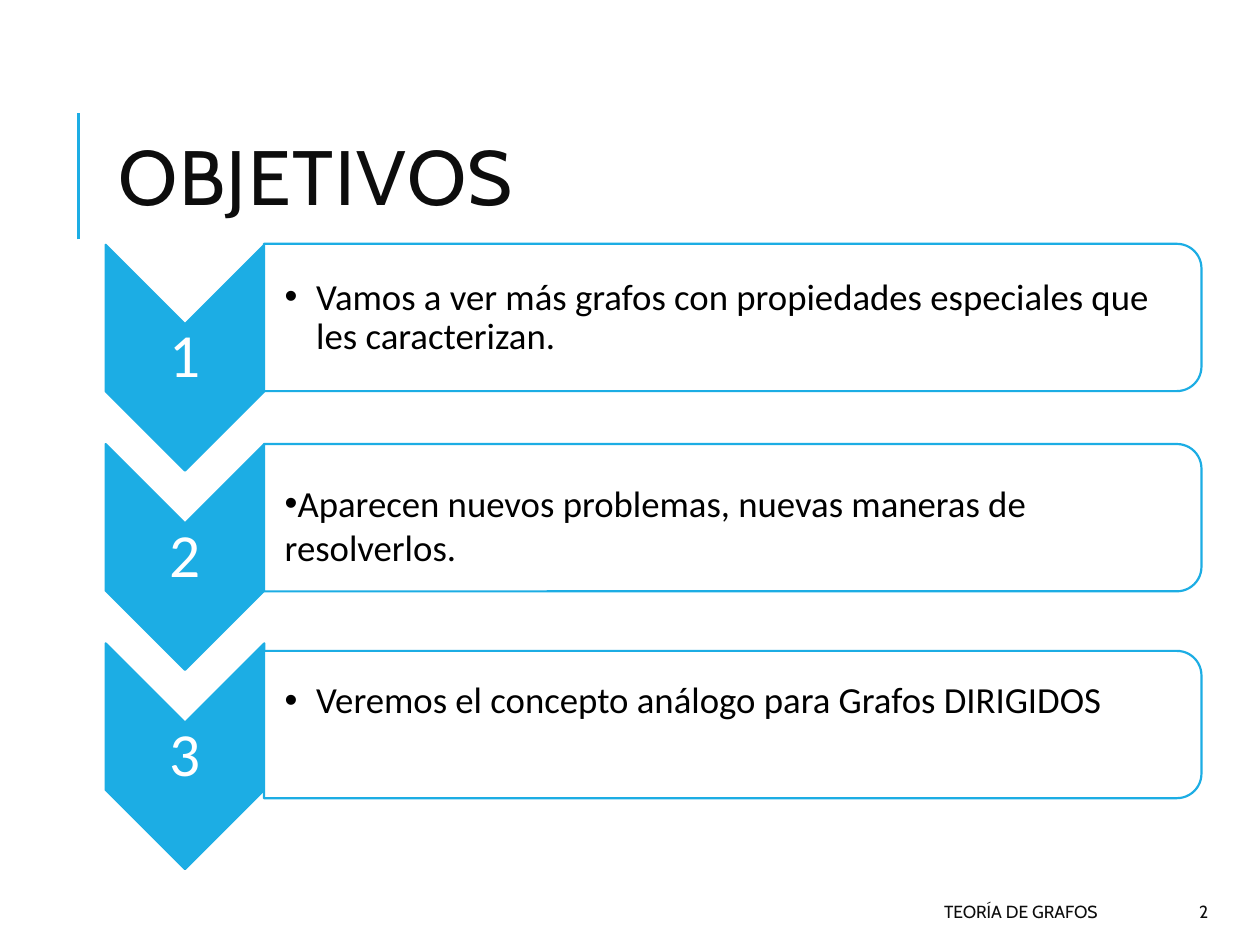
from lxml.etree import SubElement
from pptx import Presentation
from pptx.dml.color import RGBColor
from pptx.enum.shapes import MSO_CONNECTOR as Connector, MSO_SHAPE as Shape
from pptx.enum.text import MSO_ANCHOR as Anchor, MSO_AUTO_SIZE as AutoSize, PP_ALIGN as Align
from pptx.oxml.ns import qn
from pptx.util import Pt

BLUE = RGBColor(0x1C, 0xAD, 0xE4)
WHITE = RGBColor(0xFF, 0xFF, 0xFF)
BLACK = RGBColor(0x00, 0x00, 0x00)
INK = RGBColor(0x0D, 0x0D, 0x0D)


def write(frame, text, size=21, font="Calibri", color=BLACK, align=Align.LEFT,
          spacing=1.0, insets=(7.2, 3.6, 7.2, 3.6), tracking=0, bullet=False, indent=0):
    """Fill a text frame with one formatted paragraph."""
    frame.word_wrap = True
    frame.auto_size = AutoSize.NONE
    frame.vertical_anchor = Anchor.MIDDLE
    frame.margin_left, frame.margin_top, frame.margin_right, frame.margin_bottom = map(Pt, insets)
    paragraph = frame.paragraphs[0]
    paragraph.alignment = align
    paragraph.line_spacing = spacing
    run = paragraph.add_run()
    run.text = text
    run.font.size = Pt(size)
    run.font.name = font
    run.font.color.rgb = color
    if tracking:
        run._r.get_or_add_rPr().set("spc", str(tracking * 100))
    if bullet:
        properties = paragraph._p.get_or_add_pPr()
        properties.set("marL", str(Pt(indent)))
        properties.set("indent", str(-Pt(indent)))
        SubElement(properties, qn("a:buFont")).set("typeface", "Arial")
        SubElement(properties, qn("a:buChar")).set("char", "•")


class Deck:
    """Hold the style and the current slide."""

    def __init__(self, width, height):
        self.presentation = Presentation()
        self.presentation.slide_width = Pt(width)
        self.presentation.slide_height = Pt(height)
        self.slide = self.presentation.slides.add_slide(self.presentation.slide_layouts[5])
        self.shapes = self.slide.shapes

    def title(self, text, box, **style):
        """Place and fill the title placeholder."""
        title = self.shapes.title
        title.left, title.top, title.width, title.height = map(Pt, box)
        write(title.text_frame, text, **style)

    def text(self, text, box, **style):
        """Add a text box."""
        write(self.shapes.add_textbox(*map(Pt, box)).text_frame, text, **style)

    def turned(self, kind, box, fill):
        """Add a preset shape turned a quarter clockwise."""
        shape = self.shapes.add_shape(kind, *map(Pt, box))
        shape.rotation = 90
        shape.shadow.inherit = False
        shape.fill.solid()
        shape.fill.fore_color.rgb = fill
        shape.line.color.rgb = BLUE
        shape.line.width = Pt(1.25)

    def line(self, start, end, width):
        """Add a straight line."""
        line = self.shapes.add_connector(Connector.STRAIGHT, *map(Pt, start + end))
        line.line.color.rgb = BLUE
        line.line.width = Pt(width)
        SubElement(line._element.spPr, qn("a:effectLst"))


def main():
    """Build the objectives slide."""
    deck = Deck(720, 540)
    deck.line((44.8, 136.8), (44.8, 64.8), 1.5)
    deck.title("OBJETIVOS", (60.5, 46, 574, 118), size=44, font="Cabin", color=INK,
               spacing=0.8, tracking=1)

    goals = [
        ("Vamos a ver más grafos con propiedades especiales que les caracterizan.",
         -86.4, 144, 0.9, 18),
        ("Aparecen nuevos problemas, nuevas maneras de resolverlos.", 28, 262, 1.0, 0),
        ("Veremos el concepto análogo para Grafos DIRIGIDOS", 146.2, 363.2, 0.9, 18),
    ]
    for index, (goal, panel_top, text_top, spacing, indent) in enumerate(goals):
        offset = index * 113.9
        deck.turned(Shape.CHEVRON, (41.2, 159 + offset, 129, 90.7), BLUE)
        deck.text(str(index + 1), (60.5, 185 + offset, 90.7, 39), size=35, color=WHITE,
                  align=Align.CENTER, spacing=0.9, insets=(1.6,) * 4)
        deck.turned(Shape.ROUND_2_SAME_RECTANGLE, (376.6, panel_top, 84.2, 535.7), WHITE)
        deck.text(goal, (151.2, text_top, 531.4, 75.6), spacing=spacing, bullet=True,
                  indent=indent, insets=(11.5, 0.9, 0.9, 0.9))

    for text, left, width in (("TEORÍA DE GRAFOS", 285.8, 348.5), ("2", 640, 57.6)):
        deck.text(text, (left, 509.8, width, 21.6), size=10, font="Cabin", color=INK,
                  align=Align.RIGHT)
    deck.presentation.save("out.pptx")


main()
